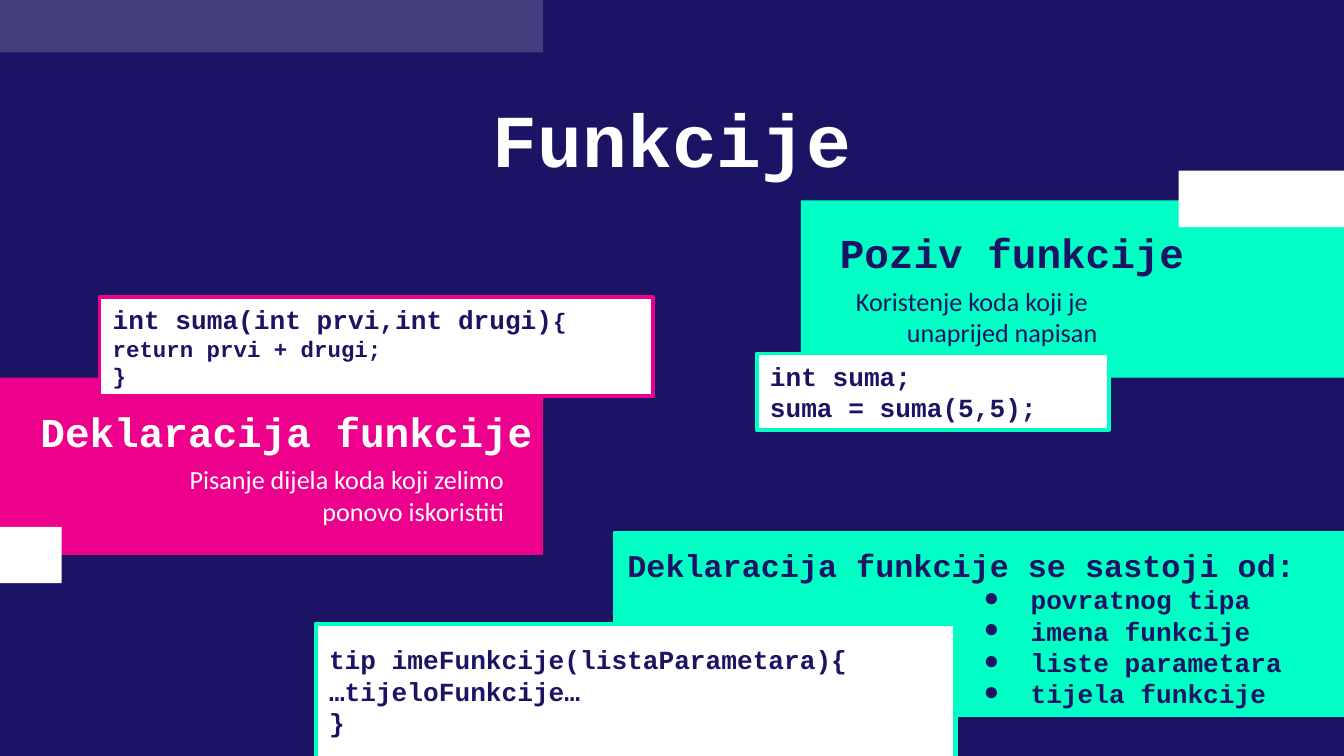
from dataclasses import dataclass
from typing import Optional

from lxml import etree
from pptx import Presentation
from pptx.dml.color import RGBColor
from pptx.enum.shapes import MSO_SHAPE
from pptx.enum.text import MSO_ANCHOR, PP_ALIGN
from pptx.oxml.ns import qn
from pptx.util import Inches, Pt

RECTANGLE = MSO_SHAPE.RECTANGLE
TOP, MIDDLE = MSO_ANCHOR.TOP, MSO_ANCHOR.MIDDLE
LEFT, CENTER, RIGHT = PP_ALIGN.LEFT, PP_ALIGN.CENTER, PP_ALIGN.RIGHT


@dataclass(frozen=True)
class Theme:
    navy: str = "1B1464"
    mint: str = "00FFC5"
    pink: str = "EC008C"
    white: str = "FFFFFF"
    code_font: str = "Courier New"
    body_font: str = "Calibri"
    title: float = 40
    heading: float = 22
    list_heading: float = 17
    body: float = 14
    small_code: float = 12


THEME = Theme()


@dataclass(frozen=True)
class Box:
    left: float
    top: float
    width: float
    height: float

    def lengths(self) -> tuple:
        return tuple(Inches(v) for v in (self.left, self.top, self.width, self.height))


@dataclass(frozen=True)
class Style:
    size: float = THEME.body
    color: str = THEME.navy
    font: str = THEME.code_font
    bold: bool = True


@dataclass(frozen=True)
class Piece:
    text: str
    style: Style


@dataclass(frozen=True)
class Line:
    pieces: tuple
    align: PP_ALIGN = LEFT
    margin: float = 0
    indent: float = 0
    bullet: bool = False


@dataclass(frozen=True)
class Panel:
    box: Box
    fill: Optional[str] = None
    border: Optional[str] = None
    border_width: float = 2
    lines: tuple = ()
    insets: tuple = (0.05, 0.05)  # top, bottom
    anchor: MSO_ANCHOR = TOP
    opacity: int = 100


def line(text: str, style: Style, **layout) -> Line:
    return Line((Piece(text, style),), **layout)


def heading(box: Box, text: str, color: str, align: PP_ALIGN) -> Panel:
    style = Style(THEME.heading, color)
    return Panel(box, lines=(line(text, style, align=align),),
                 insets=(0, 0), anchor=MIDDLE)


def description(box: Box, text: str, color: str, align: PP_ALIGN) -> Panel:
    style = Style(color=color, font=THEME.body_font, bold=False)
    return Panel(box, lines=(line(text, style, align=align, margin=0.5, indent=-0.38),),
                 insets=(0, 0.1))


CODE = Style()
SMALL_CODE = Style(THEME.small_code)
LIST_ITEMS = ("povratnog tipa", "imena funkcije", "liste parametara", "tijela funkcije")
SYNTAX = ("tip imeFunkcije(listaParametara){", "…tijeloFunkcije…", "}")

PANELS = (
    Panel(Box(5.96, 1.49, 4.04, 1.32), THEME.mint),
    Panel(Box(0, 2.81, 4.04, 1.32), THEME.pink),
    Panel(Box(0, 0, 4.04, 0.39), THEME.white, opacity=18),
    Panel(Box(0, 3.92, 0.46, 0.42), THEME.white),
    Panel(Box(8.77, 1.27, 1.23, 0.42), THEME.white),
    description(Box(6.15, 2.12, 2.62, 0.51),
                "Koristenje koda koji je unaprijed napisan", THEME.navy, LEFT),
    description(Box(1.06, 3.45, 2.79, 0.51),
                "Pisanje dijela koda koji zelimo ponovo iskoristiti", THEME.white, RIGHT),
    heading(Box(0.05, 3.06, 4.01, 0.29), "Deklaracija funkcije", THEME.white, RIGHT),
    heading(Box(6.15, 1.73, 3.45, 0.29), "Poziv funkcije", THEME.navy, LEFT),
    Panel(Box(3.51, 0.64, 2.98, 0.77),
          lines=(line("Funkcije", Style(THEME.title, THEME.white), align=CENTER),)),
    Panel(Box(0.74, 2.21, 4.12, 0.74), THEME.white, THEME.pink, lines=(
        Line((Piece("int suma(int prvi,int drugi)", CODE), Piece("{", SMALL_CODE))),
        line("return prvi + drugi;", SMALL_CODE),
        line("}", SMALL_CODE))),
    Panel(Box(5.63, 2.63, 2.62, 0.57), THEME.white, THEME.mint,
          lines=(line("int suma;", CODE), line("suma = suma(5,5);", CODE))),
    Panel(Box(4.57, 3.96, 5.43, 1.37), THEME.mint, THEME.mint, 0.75, insets=(0.1, 0.1),
          lines=(line("Deklaracija funkcije se sastoji od:", Style(THEME.list_heading)),
                 *(line(item, CODE, margin=3, indent=-0.35, bullet=True)
                   for item in LIST_ITEMS))),
    Panel(Box(2.35, 4.64, 4.76, 1.05), THEME.white, THEME.mint, 2.25),
    Panel(Box(2.35, 4.69, 4.76, 1.14), insets=(0.1, 0.1),
          lines=tuple(line(text, CODE) for text in SYNTAX)),
)


def rgb(color: str) -> RGBColor:
    return RGBColor.from_string(color)


def format_paragraph(paragraph, content: Line) -> None:
    paragraph.alignment = content.align
    properties = paragraph._p.get_or_add_pPr()
    properties.set("marL", str(Inches(content.margin)))
    properties.set("indent", str(Inches(content.indent)))
    if content.bullet:
        bullet_color = etree.SubElement(properties, qn("a:buClr"))
        etree.SubElement(bullet_color, qn("a:srgbClr"), val=THEME.navy)
        etree.SubElement(properties, qn("a:buSzPts"), val=str(THEME.body * 100))
        etree.SubElement(properties, qn("a:buFont"), typeface=THEME.code_font)
        etree.SubElement(properties, qn("a:buChar"), char="●")


def write_lines(shape, panel: Panel) -> None:
    frame = shape.text_frame
    frame.word_wrap = True
    frame.vertical_anchor = panel.anchor
    frame.margin_left = frame.margin_right = Inches(0.1)
    frame.margin_top, frame.margin_bottom = (Inches(v) for v in panel.insets)
    for index, content in enumerate(panel.lines):
        paragraph = frame.add_paragraph() if index else frame.paragraphs[0]
        format_paragraph(paragraph, content)
        for piece in content.pieces:
            run = paragraph.add_run()
            run.text = piece.text
            run.font.name = piece.style.font
            run.font.size = Pt(piece.style.size)
            run.font.bold = piece.style.bold
            run.font.color.rgb = rgb(piece.style.color)


def paint(shape, panel: Panel) -> None:
    shape.shadow.inherit = False
    shape.fill.solid()
    shape.fill.fore_color.rgb = rgb(panel.fill)
    if panel.opacity < 100:
        color = shape._element.spPr.find(qn("a:solidFill")).find(qn("a:srgbClr"))
        etree.SubElement(color, qn("a:alpha"), val=str(panel.opacity * 1000))
    if panel.border:
        shape.line.color.rgb = rgb(panel.border)
        shape.line.width = Pt(panel.border_width)
    else:
        shape.line.fill.background()


def draw(slide, panel: Panel) -> None:
    if panel.fill:
        shape = slide.shapes.add_shape(RECTANGLE, *panel.box.lengths())
        paint(shape, panel)
    else:
        shape = slide.shapes.add_textbox(*panel.box.lengths())
    if panel.lines:
        write_lines(shape, panel)


def main() -> None:
    presentation = Presentation()
    presentation.slide_width = Inches(10)
    presentation.slide_height = Inches(10) * 9 // 16
    slide = presentation.slides.add_slide(presentation.slide_layouts[6])
    slide.background.fill.solid()
    slide.background.fill.fore_color.rgb = rgb(THEME.navy)
    for panel in PANELS:
        draw(slide, panel)
    presentation.save("out.pptx")


if __name__ == "__main__":
    main()
